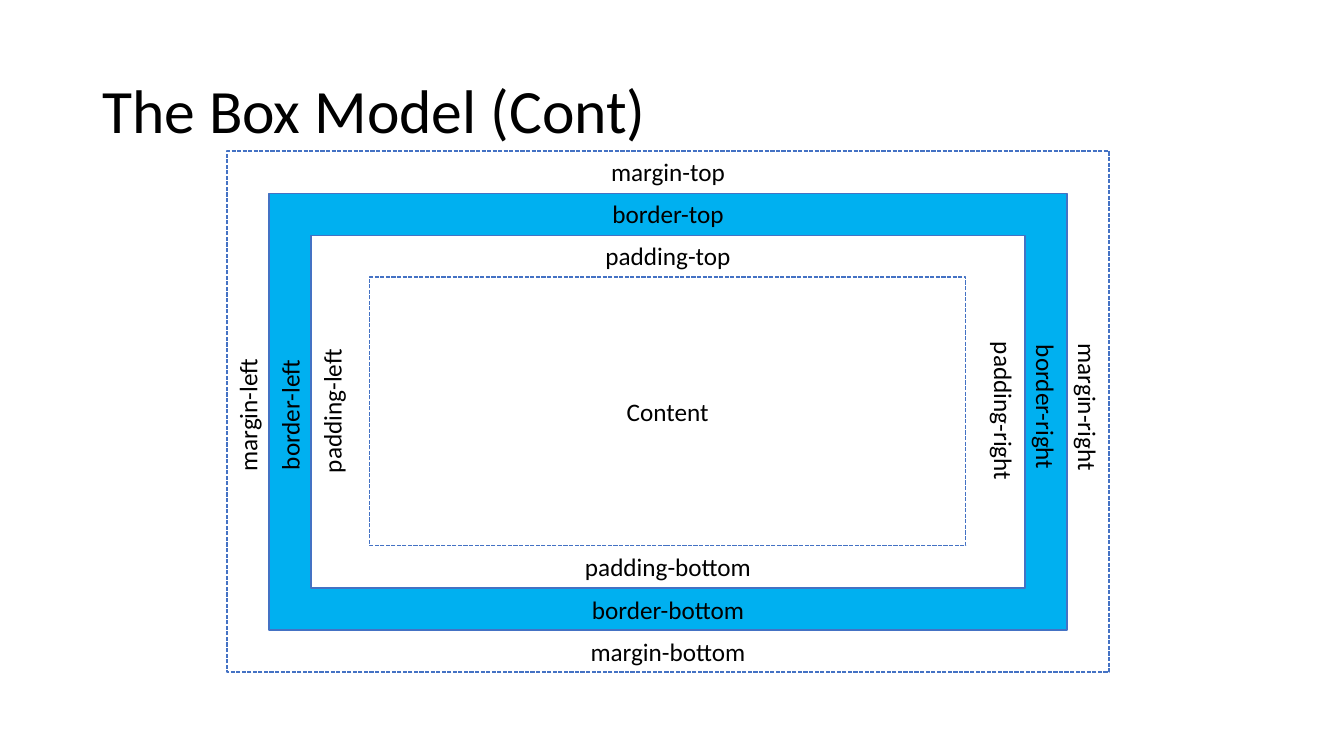
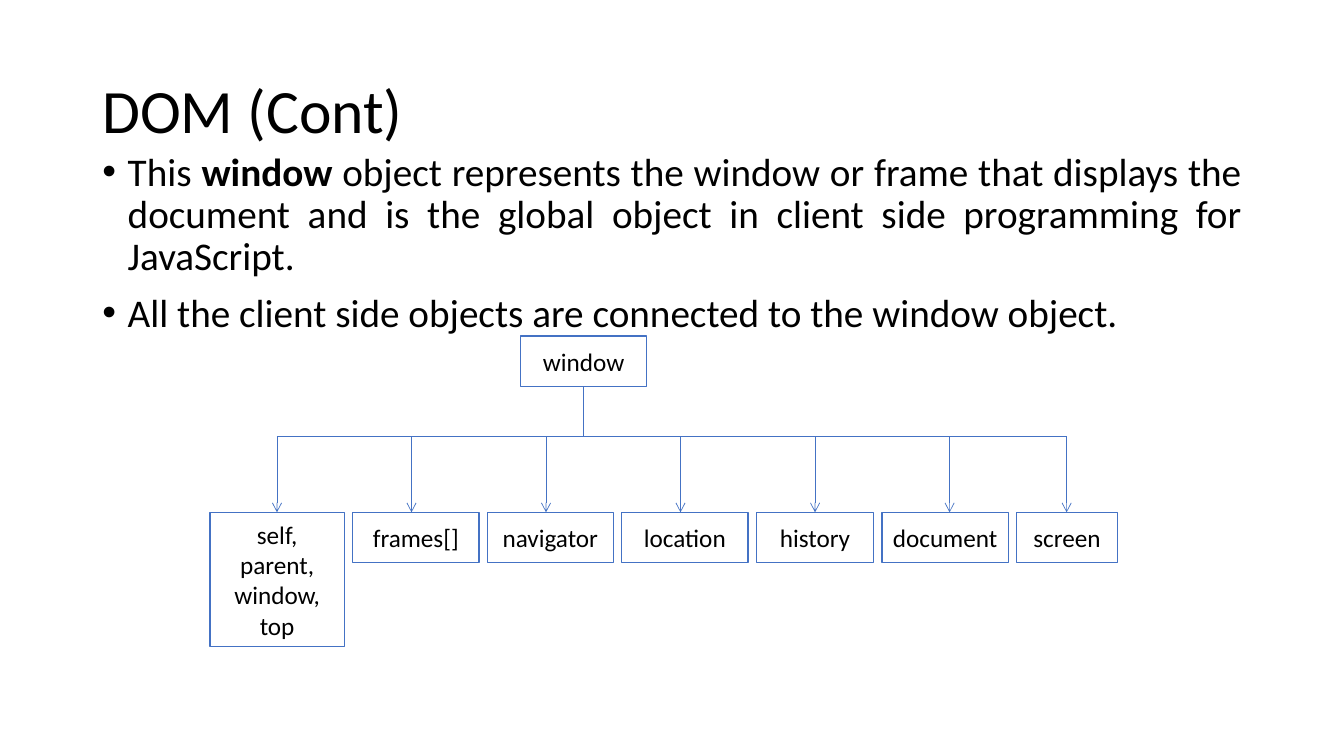
from lxml.etree import SubElement
from pptx import Presentation
from pptx.dml.color import RGBColor
from pptx.enum.dml import MSO_LINE
from pptx.enum.shapes import MSO_CONNECTOR, MSO_SHAPE
from pptx.enum.text import MSO_ANCHOR, PP_ALIGN
from pptx.oxml.ns import qn
from pptx.util import Cm, Pt

COLORS = {"text": "000000", "line": "4472C4", "border": "00B0F0", "white": "FFFFFF"}
FONT = "Calibri"
TITLE = {"size": Pt(44)}
BODY = {"size": Pt(28)}
LABEL = {"size": Pt(18)}
CENTER = {"alignment": PP_ALIGN.CENTER}
LEFT, CONTENT_W = 2.33, 29.21


def rgb(name):
    return RGBColor.from_string(COLORS[name])


def set_attrs(obj, values):
    for name, value in values.items():
        setattr(obj, name, value)


def add_run(p, text, font):
    r = p.add_run()
    r.text = text
    set_attrs(r.font, {"name": FONT, **font})
    r.font.color.rgb = rgb("text")


def write(tf, lines, font, para, anchor=MSO_ANCHOR.TOP):
    set_attrs(tf, {"word_wrap": True, "vertical_anchor": anchor})
    for i, line in enumerate(lines):
        p = tf.add_paragraph() if i else tf.paragraphs[0]
        set_attrs(p, para)
        add_run(p, line, font)


def add_textbox(s, left, top, width, height):
    return s.shapes.add_textbox(Cm(left), Cm(top), Cm(width), Cm(height))


def add_title(s, text):
    tf = add_textbox(s, LEFT, 1.02, CONTENT_W, 3.68).text_frame
    write(tf, [text], TITLE, {"line_spacing": 0.9}, MSO_ANCHOR.MIDDLE)


def add_bullets(s, items):
    tf = add_textbox(s, LEFT, 3.71, CONTENT_W, 13.44).text_frame
    tf.word_wrap = True
    for i, parts in enumerate(items):
        p = tf.add_paragraph() if i else tf.paragraphs[0]
        set_attrs(p, {"alignment": PP_ALIGN.JUSTIFY, "line_spacing": 0.9,
                      "space_before": Pt(10 if i else 0)})
        pPr = p._p.get_or_add_pPr()
        pPr.set("marL", str(Cm(0.64)))
        pPr.set("indent", str(Cm(-0.64)))
        SubElement(pPr, qn("a:buFont")).set("typeface", "Arial")
        SubElement(pPr, qn("a:buChar")).set("char", "•")
        for text, bold in parts:
            add_run(p, text, {**BODY, "bold": bold})


def add_box(s, left, top, width, height, lines=(), fill=None, dash=None):
    sp = s.shapes.add_shape(MSO_SHAPE.RECTANGLE, Cm(left), Cm(top), Cm(width), Cm(height))
    sp.shadow.inherit = False
    if fill:
        sp.fill.solid()
        sp.fill.fore_color.rgb = rgb(fill)
    else:
        sp.fill.background()
    sp.line.color.rgb = rgb("line")
    set_attrs(sp.line, {"width": Pt(1), "dash_style": dash})
    write(sp.text_frame, lines, LABEL, CENTER, MSO_ANCHOR.MIDDLE)


def add_label(s, text, cx, cy, rotation=0):
    width, height = 5.72, 1.02
    sp = add_textbox(s, cx - width / 2, cy - height / 2, width, height)
    sp.rotation = rotation
    write(sp.text_frame, [text], LABEL, CENTER)


def add_line(s, x1, y1, x2, y2, arrow=False):
    cn = s.shapes.add_connector(MSO_CONNECTOR.STRAIGHT, Cm(x1), Cm(y1), Cm(x2), Cm(y2))
    cn.line.color.rgb = rgb("line")
    cn.line.width = Pt(0.5)
    if arrow:
        SubElement(cn.line._get_or_add_ln(), qn("a:tailEnd")).set("type", "arrow")
    SubElement(cn._element.spPr, qn("a:effectLst"))


def box_model_slide(s):
    add_title(s, "The Box Model (Cont)")
    left, top, width, height, ring = 5.72, 3.81, 22.23, 13.13, 1.06
    styles = [(None, MSO_LINE.SQUARE_DOT), ("border", None), ("white", None)]
    for i, (fill, dash) in enumerate(styles):
        inset = i * ring
        add_box(s, left + inset, top + inset, width - 2 * inset, height - 2 * inset,
                fill=fill, dash=dash)
    add_box(s, 9.31, 6.98, 15.03, 6.77, ["Content"], dash=MSO_LINE.SQUARE_DOT)

    cx = left + width / 2
    side_heights = [("margin", 10.46, 10.26), ("border", 10.46, 10.26),
                    ("padding", 10.36, 10.36)]
    for i, (name, left_cy, right_cy) in enumerate(side_heights):
        inset = i * ring
        add_label(s, f"{name}-top", cx, 4.32 + inset)
        add_label(s, f"{name}-bottom", cx, 16.41 - inset)
        add_label(s, f"{name}-left", 6.24 + inset, left_cy, 270)
        add_label(s, f"{name}-right", 27.42 - inset, right_cy, 90)


def dom_slide(s):
    add_title(s, "DOM (Cont)")
    add_bullets(s, [
        [("This ", False), ("window", True),
         (" object represents the window or frame that displays the document and is "
          "the global object in client side programming for JavaScript.", False)],
        [("All the client side objects are connected to the window object.", False)],
    ])
    box_h, bus_y, child_y, gap = 1.27, 11.0, 12.91, 0.21
    bus_left, bus_right, pitch = 6.98, 26.88, 3.39
    add_box(s, 13.12, 8.47, 3.18, box_h, ["window"], "white")
    children = [
        (["self,", "parent,", "window,", "top"], 3.39, 3.39),
        (["frames[]"], 3.18, box_h),
        (["navigator"], 3.18, box_h),
        (["location"], 3.18, box_h),
        (["history"], 2.96, box_h),
        (["document"], 3.18, box_h),
        (["screen"], 2.54, box_h),
    ]
    left = 5.29
    for i, (lines, width, height) in enumerate(children):
        add_box(s, left, child_y, width, height, lines, "white")
        x = min(bus_left + i * pitch, bus_right)
        add_line(s, x, bus_y, x, child_y, arrow=True)
        left += width + gap
    add_line(s, 14.71, bus_y, 14.71, 8.47 + box_h)
    add_line(s, bus_left, bus_y, bus_right, bus_y)


def main():
    prs = Presentation()
    set_attrs(prs, {"slide_width": Cm(33.87), "slide_height": Cm(19.05)})
    for build in (box_model_slide, dom_slide):
        build(prs.slides.add_slide(prs.slide_layouts[6]))
    prs.save("out.pptx")


if __name__ == "__main__":
    main()
